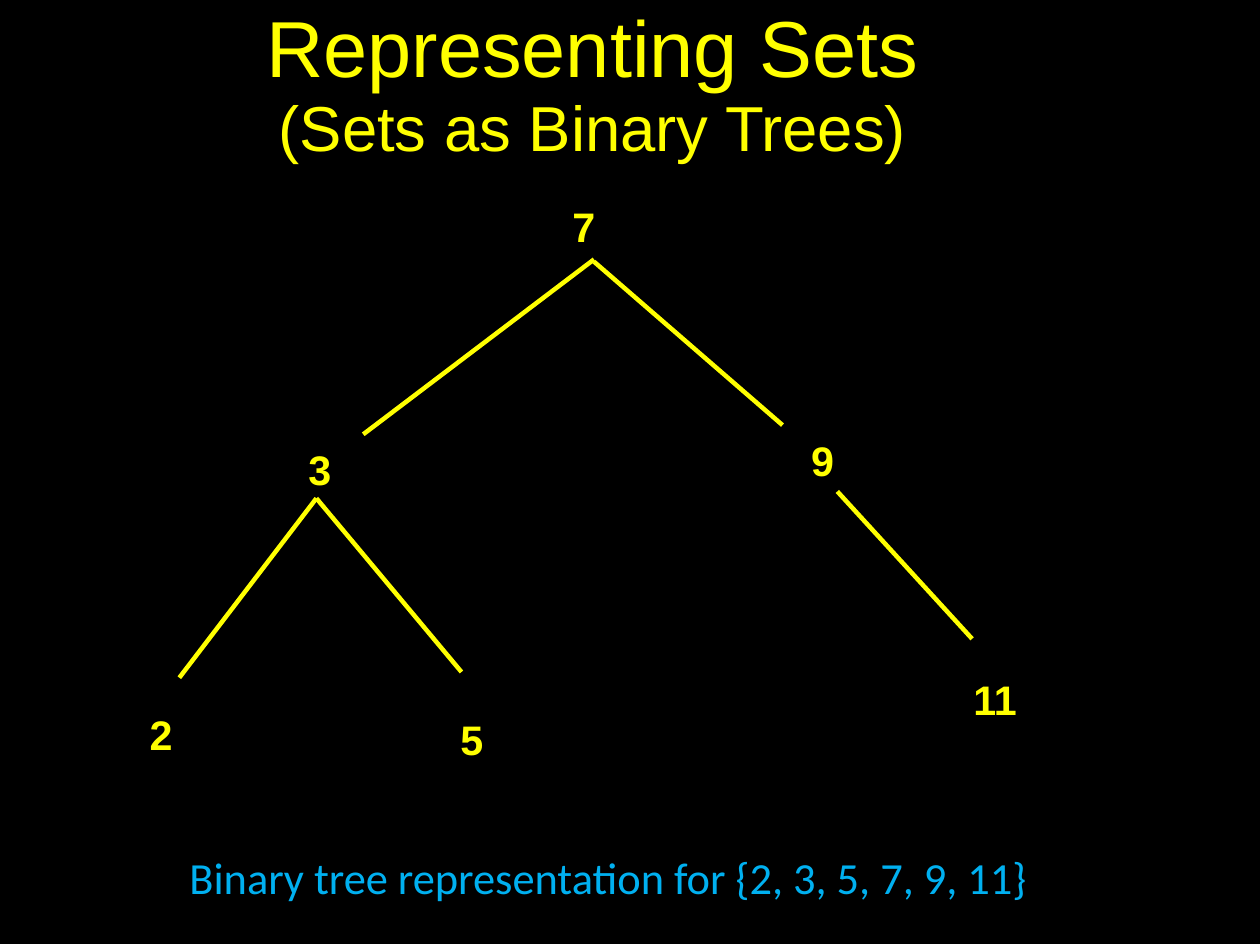
from pptx import Presentation
from pptx import util as u
from pptx.dml.color import RGBColor
from pptx.enum import shapes, text
from pptx.oxml.ns import qn
from lxml import etree

COLORS = {"background": "000000", "tree": "FFFF00", "caption": "00B0F0"}

NODES = [
    ("7", 5.01, 1.75, 0.23),
    ("3", 2.7, 3.88, 0.23),
    ("9", 7.1, 3.8, 0.23),
    ("2", 1.31, 6.2, 0.23),
    ("5", 4.03, 6.24, 0.23),
    ("11", 8.52, 5.89, 0.42),
]

BRANCHES = [
    (5.2, 2.27, 3.18, 3.8),
    (5.2, 2.29, 6.85, 3.72),
    (7.33, 4.3, 8.51, 5.59),
    (2.77, 4.36, 1.57, 5.93),
    (2.77, 4.36, 4.04, 5.88),
]


def write(sp, words, size, color="tree", font="Arial", bold=False,
          inset=(0, 0.01, 0, 0), wrap=True):
    tf = sp.text_frame
    tf.auto_size = text.MSO_AUTO_SIZE.NONE
    tf.word_wrap = wrap
    tf.vertical_anchor = text.MSO_ANCHOR.TOP
    tf.margin_left, tf.margin_top, tf.margin_right, tf.margin_bottom = map(u.Inches, inset)
    p = tf.paragraphs[0]
    p.alignment = text.PP_ALIGN.LEFT
    r = p.add_run()
    r.text = words
    r.font.name = font
    r.font.size = u.Pt(size)
    r.font.bold = bold
    r.font.color.rgb = RGBColor.from_string(COLORS[color])


def add_title(s, words, box, size):
    sp = s.shapes.title
    sp.left, sp.top, sp.width, sp.height = map(u.Inches, box)
    write(sp, words, size)


def add_label(s, words, box, size, **fmt):
    write(s.shapes.add_textbox(*map(u.Inches, box)), words, size, **fmt)


def add_branch(s, ends):
    line = s.shapes.add_connector(shapes.MSO_CONNECTOR.STRAIGHT, *map(u.Inches, ends))
    line.line.color.rgb = RGBColor.from_string(COLORS["tree"])
    line.line.width = u.Pt(2.83)
    etree.SubElement(line._element.spPr, qn("a:effectLst"))


def main():
    prs = Presentation()
    prs.slide_width, prs.slide_height = u.Inches(11.03), u.Inches(8.26)
    s = prs.slides.add_slide(prs.slide_layouts[5])
    fill = s.background.fill
    fill.solid()
    fill.fore_color.rgb = RGBColor.from_string(COLORS["background"])

    add_title(s, "Representing Sets", (2.33, -0.03, 5.74, 0.86), 50)
    add_label(s, "(Sets as Binary Trees)", (2.44, 0.76, 5.52, 0.7), 40)
    for ends in BRANCHES:
        add_branch(s, ends)
    for value, left, top, width in NODES:
        add_label(s, value, (left, top, width, 0.46), 26, bold=True, wrap=False)
    add_label(s, "Binary tree representation for {2, 3, 5, 7, 9, 11}",
              (1.56, 7.39, 7.62, 0.57), 28, color="caption", font="Calibri",
              inset=(0.1, 0.05, 0.1, 0.05), wrap=False)
    prs.save("out.pptx")


if __name__ == "__main__":
    main()
